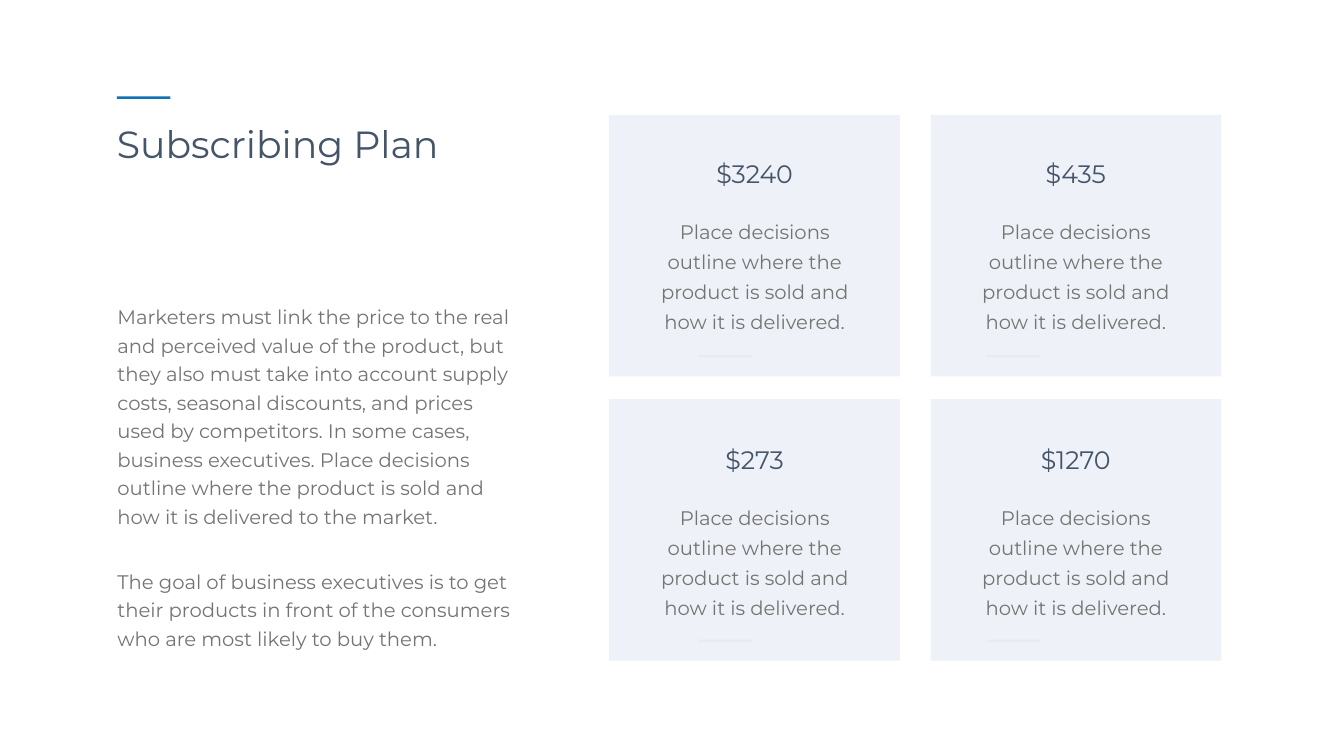
from lxml import etree
from pptx import Presentation
from pptx import util as u
from pptx.dml.color import RGBColor
from pptx.enum import shapes, text
from pptx.oxml.ns import qn

PX = 9144  # 100 px to the inch
COLORS = {
    "card": "EFF1F8",
    "accent": "0D73B2",
    "rule": "808080",
    "heading": "445469",
    "body": "737572",
}
FONT = "Montserrat"


def add_rect(x, y, w, h, color, alpha=None):
    """Add a borderless rectangle; alpha is its opacity in percent."""
    sp = s.shapes.add_shape(shapes.MSO_SHAPE.RECTANGLE, x * PX, y * PX, w * PX, h * PX)
    sp.shadow.inherit = False
    sp.fill.solid()
    sp.fill.fore_color.rgb = RGBColor.from_string(COLORS[color])
    sp.line.fill.background()
    if alpha is not None:
        clr = sp.fill._xPr.find(qn("a:solidFill"))[0]
        etree.SubElement(clr, qn("a:alpha"), val=str(alpha * 1000))


def add_text(content, x, y, w, h, size, color, align=text.PP_ALIGN.LEFT,
             leading=None, gap=0, inset=(10, 5)):
    """Add a text box with one paragraph per line; leading and gap are in points."""
    tf = s.shapes.add_textbox(x * PX, y * PX, w * PX, h * PX).text_frame
    tf.word_wrap = True
    tf.auto_size = text.MSO_AUTO_SIZE.SHAPE_TO_FIT_TEXT
    tf.margin_left = tf.margin_right = inset[0] * PX
    tf.margin_top = tf.margin_bottom = inset[1] * PX
    for i, line in enumerate(content.split("\n")):
        p = tf.add_paragraph() if i else tf.paragraphs[0]
        p.alignment = align
        if leading:
            p.line_spacing = u.Pt(leading)
        if i and gap:
            p.space_before = u.Pt(gap)
        r = p.add_run()
        r.text = line
        r.font.name = FONT
        r.font.size = u.Pt(size)
        r.font.color.rgb = RGBColor.from_string(COLORS[color])


prs = Presentation()
prs.slide_width = 2666 * PX
prs.slide_height = 1500 * PX
s = prs.slides.add_slide(prs.slide_layouts[6])

# Heading and introduction
add_rect(232, 191, 106, 5, "accent")
add_text("Subscribing Plan", 222, 234, 719, 101, 54, "heading")
add_text(
    "Marketers must link the price to the real and perceived value of the product, "
    "but they also must take into account supply costs, seasonal discounts, and "
    "prices used by competitors. In some cases, business executives. Place decisions "
    "outline where the product is sold and how it is delivered to the market.\n"
    "The goal of business executives is to get their products in front of the "
    "consumers who are most likely to buy them.",
    209, 583, 833, 728, 28, "body", leading=40.8, gap=52, inset=(24, 12))

# Price cards, two by two
PRICES = [["$3240", "$435"], ["$273", "$1270"]]
CENTER = text.PP_ALIGN.CENTER
for row, prices in enumerate(PRICES):
    for col, price in enumerate(prices):
        add_rect(1208 + 638 * col, 228 + 564 * row, 577, 519, "card")
        add_rect(1386 + 572 * col, 704 + 565 * row, 106, 5, "rule", alpha=5)
        add_text(price, 1311 + 637 * col, 310 + 567 * row, 372, 71,
                 36, "heading", align=CENTER)
        add_text("Place decisions outline where the product is sold and how it is delivered.",
                 1293 + 637 * col, 418 + 567 * row, 408, 246,
                 28, "body", align=CENTER, leading=43)

prs.save("out.pptx")
